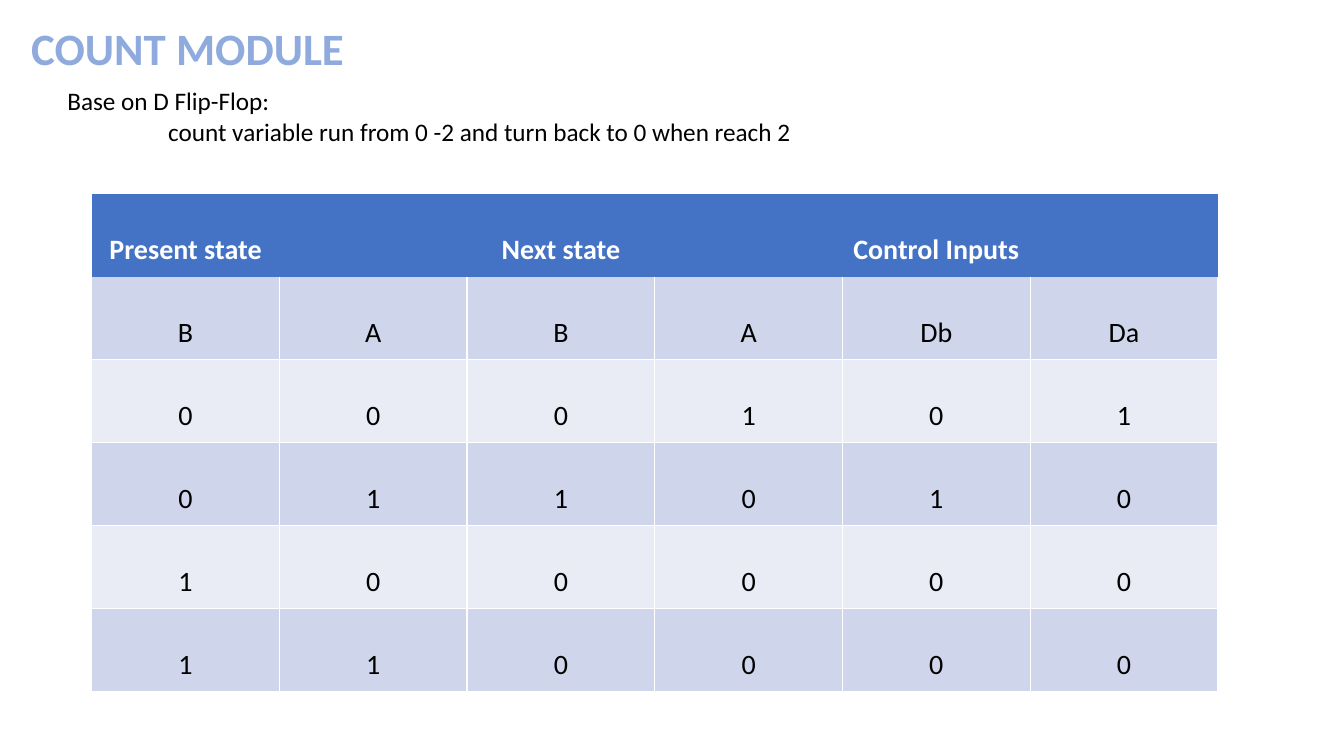
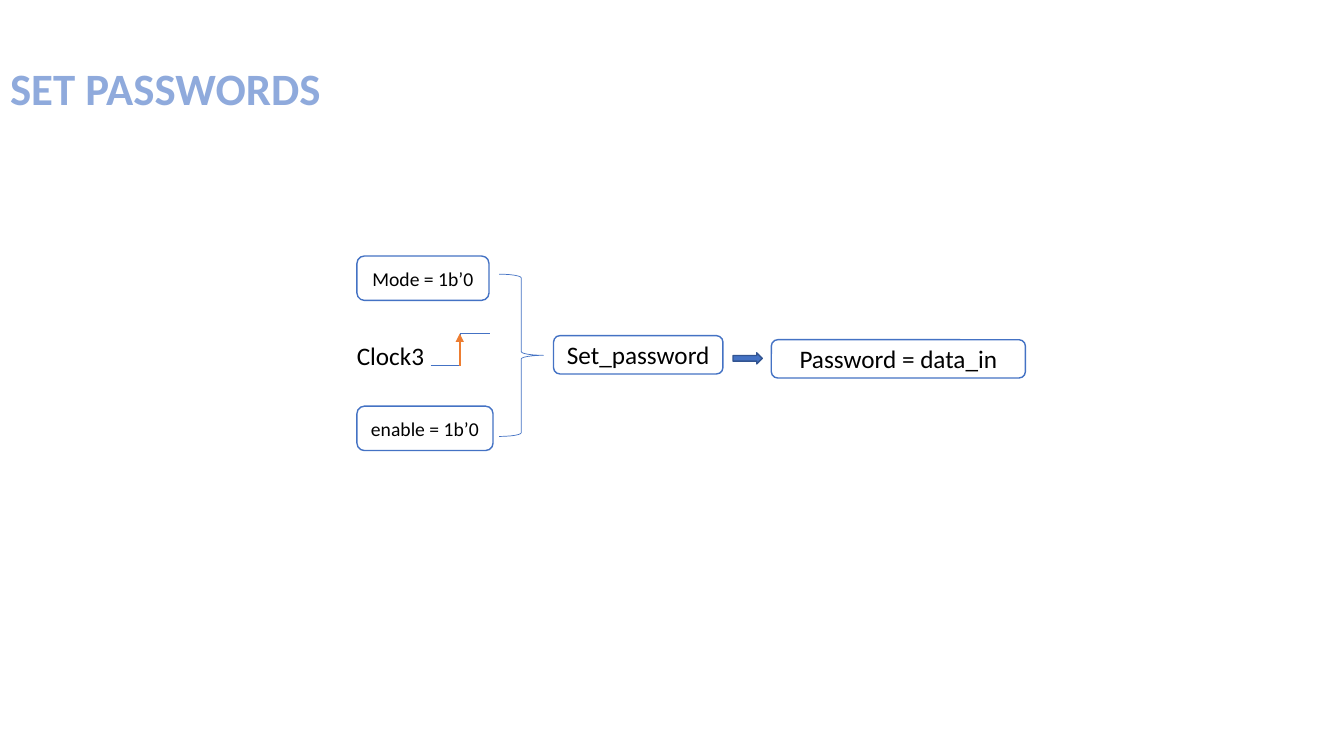
from lxml import etree
from pptx import Presentation
from pptx.dml.color import RGBColor
from pptx.enum import shapes, text
from pptx.oxml import ns
from pptx.util import Inches, Pt

FONT = "Calibri"
COLORS = {
    "title": "8FAADC",
    "text": "000000",
    "white": "FFFFFF",
    "blue": "4472C4",
    "dark_blue": "325491",
    "orange": "ED7D31",
    "band_dark": "CFD5EA",
    "band_light": "E9EBF5",
}
STATE_ROWS = [
    ["Present state", "", "Next state", "", "Control Inputs", ""],
    ["B", "A", "B", "A", "Db", "Da"],
    ["0", "0", "0", "1", "0", "1"],
    ["0", "1", "1", "0", "1", "0"],
    ["1", "0", "0", "0", "0", "0"],
    ["1", "1", "0", "0", "0", "0"],
]


def rgb(name):
    return RGBColor.from_string(COLORS[name])


def box(*lengths):
    return [Inches(n) for n in lengths]


def style(p, size, color="text", bold=False, align=text.PP_ALIGN.LEFT):
    p.font.name = FONT
    p.font.size = Pt(size)
    p.font.bold = bold
    p.font.color.rgb = rgb(color)
    p.alignment = align


def add_titled_slide(prs, title, at):
    slide = prs.slides.add_slide(prs.slide_layouts[5])
    sp = slide.shapes.title
    sp.left, sp.top, sp.width, sp.height = box(*at)
    tf = sp.text_frame
    tf.text = title
    tf.word_wrap = True
    tf.auto_size = text.MSO_AUTO_SIZE.NONE
    tf.vertical_anchor = text.MSO_ANCHOR.TOP
    style(tf.paragraphs[0], 32, "title", bold=True)
    return slide


def add_text(slide, lines, at, indent=0):
    tf = slide.shapes.add_textbox(*box(*at)).text_frame
    tf.word_wrap = True
    tf.text = "\n".join(lines)
    for i, p in enumerate(tf.paragraphs):
        style(p, 18)
        if i:
            p._p.get_or_add_pPr().set("marL", str(Inches(indent)))


def add_shape(slide, kind, at, fill=None, line="blue", width=1):
    sp = slide.shapes.add_shape(kind, *box(*at))
    sp.shadow.inherit = False
    if fill:
        sp.fill.solid()
        sp.fill.fore_color.rgb = rgb(fill)
    else:
        sp.fill.background()
    sp.line.color.rgb = rgb(line)
    sp.line.width = Pt(width)
    return sp


def add_label_box(slide, label, at, size):
    sp = add_shape(slide, shapes.MSO_SHAPE.ROUNDED_RECTANGLE, at, "white")
    tf = sp.text_frame
    tf.word_wrap = True
    tf.vertical_anchor = text.MSO_ANCHOR.MIDDLE
    tf.text = label
    style(tf.paragraphs[0], size, align=text.PP_ALIGN.CENTER)


def add_line(slide, kind, ends, color, width, arrow=False):
    line = slide.shapes.add_connector(kind, *box(*ends))
    line.line.color.rgb = rgb(color)
    line.line.width = Pt(width)
    if arrow:
        ln = line.line._get_or_add_ln()
        etree.SubElement(ln, ns.qn("a:tailEnd"), type="triangle")
    etree.SubElement(line._element.spPr, ns.qn("a:effectLst"))


def set_borders(cell, visible):
    tcPr = cell._tc.get_or_add_tcPr()
    for i, side in enumerate("LRTB"):
        ln = etree.Element(ns.qn(f"a:ln{side}"), w=str(Pt(1)))
        if side in visible:
            fill = etree.SubElement(ln, ns.qn("a:solidFill"))
            etree.SubElement(fill, ns.qn("a:srgbClr"), val=COLORS["white"])
        else:
            etree.SubElement(ln, ns.qn("a:noFill"))
        tcPr.insert(i, ln)


def add_state_table(slide, rows, at):
    table = slide.shapes.add_table(len(rows), len(rows[0]), *box(*at)).table
    for i, row in enumerate(rows):
        header = i == 0
        fill = "blue" if header else ("band_light", "band_dark")[i % 2]
        visible = "" if header else "LRB" if i == 1 else "LRTB"
        for j, value in enumerate(row):
            cell = table.cell(i, j)
            cell.text = value
            cell.fill.solid()
            cell.fill.fore_color.rgb = rgb(fill)
            set_borders(cell, visible)
            p = cell.text_frame.paragraphs[0]
            p.line_spacing = 2.0
            style(p, 20, "white" if header else "text", header, text.PP_ALIGN.CENTER)


def build_count_module(prs):
    slide = add_titled_slide(prs, "COUNT MODULE", (0.21, 0.16, 6.28, 0.64))
    lines = ["Base on D Flip-Flop:",
             "count variable run from 0 -2 and turn back to 0 when reach 2"]
    add_text(slide, lines, (0.57, 0.8, 12.56, 0.71), indent=1)
    add_state_table(slide, STATE_ROWS, (0.91, 1.92, 11.17, 4.94))


def build_set_passwords(prs):
    slide = add_titled_slide(prs, "SET PASSWORDS", (0, 0.55, 3.44, 0.64))
    add_line(slide, shapes.MSO_CONNECTOR.ELBOW, (4.27, 3.63, 4.86, 3.31), "blue", 0.5)
    add_text(slide, ["Clock3"], (3.44, 3.33, 0.92, 0.4))
    add_line(slide, shapes.MSO_CONNECTOR.STRAIGHT, (4.56, 3.63, 4.56, 3.31),
             "orange", 1.5, arrow=True)
    for label, at, size in [
        ("Mode = 1b’0", (3.54, 2.54, 1.31, 0.44), 14),
        ("enable = 1b’0", (3.54, 4.03, 1.35, 0.44), 14),
        ("Set_password", (5.49, 3.33, 1.68, 0.38), 18),
        ("Password = data_in", (7.65, 3.37, 2.52, 0.38), 18),
    ]:
        add_label_box(slide, label, at, size)
    add_shape(slide, shapes.MSO_SHAPE.RIGHT_BRACE, (4.95, 2.72, 0.44, 1.61), width=0.5)
    add_shape(slide, shapes.MSO_SHAPE.RIGHT_ARROW, (7.27, 3.5, 0.29, 0.11),
              "blue", "dark_blue")


def main():
    prs = Presentation()
    prs.slide_width, prs.slide_height = box(13.33, 7.5)
    build_count_module(prs)
    build_set_passwords(prs)
    prs.save("out.pptx")


if __name__ == "__main__":
    main()
